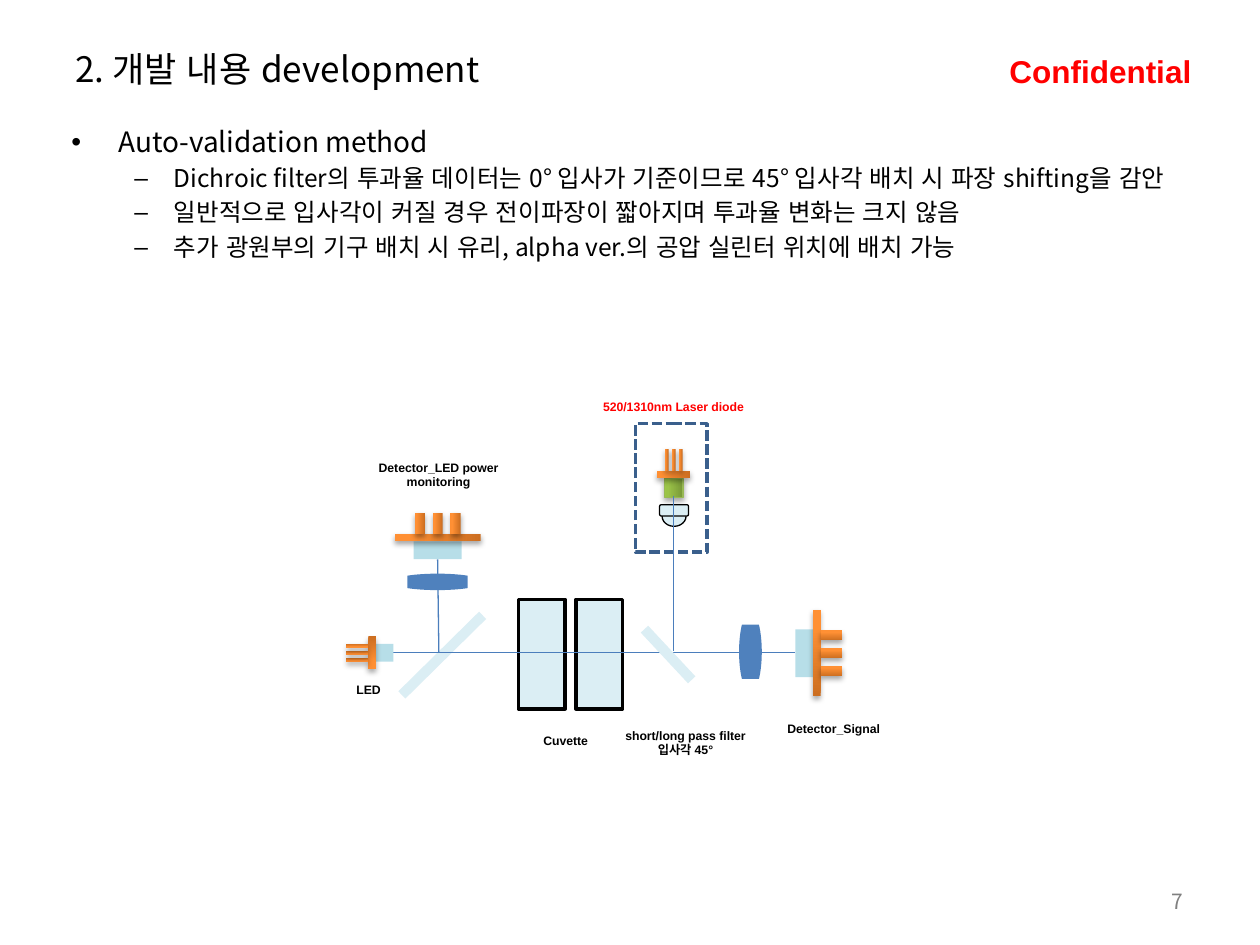
from math import cos, radians, sin

from lxml.etree import SubElement
from pptx import Presentation
from pptx.dml.color import RGBColor
from pptx.enum.dml import MSO_LINE
from pptx.enum.shapes import MSO_CONNECTOR, MSO_SHAPE
from pptx.enum.text import MSO_ANCHOR, PP_ALIGN
from pptx.oxml import parse_xml
from pptx.oxml.ns import nsdecls, qn
from pptx.util import Pt

COLORS = {
    "black": "000000", "white": "FFFFFF", "red": "FF0000", "gray": "808080",
    "glass": "DBEEF4", "window": "B7DEE8", "lens": "4F81BD",
    "beam": "4B7EBC", "housing": "3A5F8C", "diode_edge": "98B955",
}
GRADIENTS = {
    "orange": ("CC6E20", "FF9034", "FF9136"),
    "green": ("779737", "9BC348", "9DC746"),
}
SANS, KOREAN = "Arial", "Noto Sans CJK KR"


def rgb(name):
    """Return the palette colour called name."""
    return RGBColor.from_string(COLORS[name])


def apply(target, formats):
    """Set every attribute in formats on target."""
    for name, setting in formats.items():
        setattr(target, name, setting)


def write(paragraph, wording, size, font=KOREAN, color="black", bold=False):
    """Add one formatted run for each line of the wording."""
    for index, line in enumerate(wording.split("\n")):
        if index:
            paragraph.add_line_break()
        run = paragraph.add_run()
        run.text = line
        apply(run.font, {"size": Pt(size), "name": font, "bold": bold})
        run.font.color.rgb = rgb(color)
        SubElement(run.font._element, qn("a:ea"), typeface=SANS)


def add_text(shapes, box, wording, size, align=PP_ALIGN.LEFT,
             anchor=MSO_ANCHOR.TOP, wrap=True, **look):
    """Place a single-paragraph text box."""
    frame = shapes.add_textbox(*map(Pt, box)).text_frame
    apply(frame, {"word_wrap": wrap, "vertical_anchor": anchor})
    frame.paragraphs[0].alignment = align
    write(frame.paragraphs[0], wording, size, **look)


def add_bullets(slide, box, entries):
    """Place the bulleted body text given as (level, wording) pairs."""
    levels = (("•", 27, 27, 16), ("–", 58.5, 22.5, 14))
    frame = slide.shapes.add_textbox(*map(Pt, box)).text_frame
    frame.word_wrap = True
    for index, (level, wording) in enumerate(entries):
        mark, margin, hang, size = levels[level]
        paragraph = frame.add_paragraph() if index else frame.paragraphs[0]
        properties = paragraph._p.get_or_add_pPr()
        properties.set("marL", str(Pt(margin)))
        properties.set("indent", str(-Pt(hang)))
        SubElement(properties, qn("a:buFont"), typeface=SANS)
        SubElement(properties, qn("a:buChar"), char=mark)
        apply(paragraph, {"level": level,
                          "space_before": Pt(0.2 * size if index else 0)})
        write(paragraph, wording, size)


def add_part(shapes, center, size, angle=0, fill=None, edge=None, width=0.75,
             kind=MSO_SHAPE.RECTANGLE):
    """Place a shape by its centre, with a flat, gradient or empty fill."""
    (x, y), (w, h) = center, size
    part = shapes.add_shape(kind, Pt(x - w / 2), Pt(y - h / 2), Pt(w), Pt(h))
    part.rotation = angle
    part.shadow.inherit = False
    if fill in GRADIENTS:
        shade(part, GRADIENTS[fill])
    elif fill:
        part.fill.solid()
        part.fill.fore_color.rgb = rgb(fill)
    else:
        part.fill.background()
    if edge:
        part.line.color.rgb = rgb(edge)
        part.line.width = Pt(width)
    else:
        part.line.fill.background()
    return part


def shade(part, stops):
    """Give a part a three-stop gradient and a soft drop shadow."""
    part.fill.gradient()
    part.fill.gradient_angle = 90
    marks = "".join(f'<a:gs pos="{position}"><a:srgbClr val="{color}"/></a:gs>'
                    for position, color in zip((0, 80000, 100000), stops))
    properties = part._element.spPr
    old = properties.find(".//" + qn("a:gsLst"))
    old.getparent().replace(
        old, parse_xml(f'<a:gsLst {nsdecls("a")}>{marks}</a:gsLst>'))
    properties.find(qn("a:effectLst")).append(parse_xml(
        f'<a:outerShdw {nsdecls("a")} blurRad="{Pt(3.1)}" dist="{Pt(1.8)}" '
        'dir="5400000" rotWithShape="0"><a:srgbClr val="000000">'
        '<a:alpha val="35000"/></a:srgbClr></a:outerShdw>'))


def add_beam(shapes, start, end):
    """Draw one thin light path."""
    beam = shapes.add_connector(MSO_CONNECTOR.STRAIGHT, *map(Pt, start + end))
    beam.line.color.rgb = rgb("beam")
    beam.line.width = Pt(0.75)
    SubElement(beam._element.spPr, qn("a:effectLst"))


def along(center, distance, angle, across=0):
    """Return the point at a distance along and across a turned axis."""
    c, s = cos(radians(angle)), sin(radians(angle))
    return (center[0] + distance * c - across * s,
            center[1] + distance * s + across * c)


def add_package(shapes, plate, angle, window, plate_height, pin, pitch,
                fill="window", edge=None):
    """Build a window, base plate and three pins around the plate centre."""
    thickness = 4.3
    front = -(thickness + window[0]) / 2
    back = (thickness + pin[0]) / 2
    add_part(shapes, along(plate, front, angle), window, angle, fill, edge)
    add_part(shapes, plate, (thickness, plate_height), angle, "orange")
    for row in (-1, 0, 1):
        add_part(shapes, along(plate, back, angle, row * pitch), pin, angle, "orange")


def add_lens(shapes, center, size, visible, angle=0):
    """Draw an ellipse whose two tips are cut off by white caps."""
    cap = (13, 10)
    add_part(shapes, center, size, angle, "lens", kind=MSO_SHAPE.OVAL)
    for side in (-1, 1):
        middle = along(center, 0, angle, side * (visible + cap[1]) / 2)
        add_part(shapes, middle, cap, angle, "white")


def add_optics(slide, left, top):
    """Draw the optical bench with its labels from a top left corner."""
    shapes = slide.shapes.add_group_shape().shapes

    def at(x, y):
        """Shift a point into the bench."""
        return left + x, top + y

    axis = 156.8
    for x in (162, 129.2):
        add_part(shapes, at(x, axis + 0.8), (62.6, 26.6), 90, "glass", "black", 2)
    add_part(shapes, at(72.3, axis + 1.4), (64.8, 5.8), 135.4, "glass")
    add_beam(shapes, at(44.2, axis), at(273.9, axis))
    add_beam(shapes, at(70.4, axis), at(69.7, 103.5))

    small = {"plate_height": 18.7, "pin": (12.5, 2.2), "pitch": 4}
    large = {"window": (10.1, 27.4), "plate_height": 49.2, "pin": (12.2, 5.8),
             "pitch": 10.2}
    add_package(shapes, at(32.2, axis), 180, (10.1, 10.1), **small)
    add_package(shapes, at(69.7, 91), 270, **large)
    add_package(shapes, at(286.4, axis + 0.3), 0, **large)
    add_lens(shapes, at(248.4, 156.3), (13, 46.8), 31)
    add_lens(shapes, at(69.6, 116.3), (9.4, 52.6), 34.4, 270)

    add_package(shapes, at(204.6, 55), 270, (10.8, 10.8), **small,
                fill="green", edge="diode_edge")
    for y, size, kind in ((78.8, (11.5, 13.7), MSO_SHAPE.OVAL),
                          (75.4, (6.5, 16.6), MSO_SHAPE.ROUNDED_RECTANGLE)):
        add_part(shapes, at(204.8, y), size, 270, "glass", "black", kind=kind)
    housing = add_part(shapes, at(203.2, 62.6), (41, 73.4), 180, None, "housing", 2)
    housing.line.dash_style = MSO_LINE.SQUARE_DOT
    add_part(shapes, at(201.4, axis + 1), (5.8, 39.6), 317, "glass")
    add_beam(shapes, at(204.4, 67), at(204.4, 156))

    labels = (
        ("LED", 1.4, 170.2, 57.6, 15.8, "black"),
        ("Detector_LED power monitoring", 20.2, 43, 100, 24.5, "black"),
        ("Detector_Signal", 259.6, 192.4, 72.7, 15.8, "black"),
        ("Cuvette", 116.2, 199.2, 53.3, 15.8, "black"),
        ("520/1310nm Laser diode", 151.9, 8.4, 105.1, 15.8, "red"),
        ("short/long pass filter\n입사각 45°", 168.5, 196.2, 85.7, 24.5, "black"),
    )
    for wording, x, y, width, height, color in labels:
        add_text(shapes, at(x, y) + (width, height), wording, 7, PP_ALIGN.CENTER,
                 wrap="\n" not in wording, font=SANS, color=color, bold=True)


def main():
    """Build and save the slide."""
    deck = Presentation()
    apply(deck, {"slide_width": Pt(720), "slide_height": Pt(540)})
    slide = deck.slides.add_slide(deck.slide_layouts[6])
    add_text(slide.shapes, (569.8, 26, 119.5, 29), "Confidential", 18, wrap=False,
             font=SANS, color="red", bold=True)
    add_text(slide.shapes, (36, 21.6, 648, 34.6), "2. 개발 내용 development", 20,
             anchor=MSO_ANCHOR.MIDDLE)
    add_bullets(slide, (33.8, 67.7, 648, 433.4), (
        (0, "Auto-validation method"),
        (1, "Dichroic filter의 투과율 데이터는 0° 입사가 기준이므로 45° 입사각 배치 시 파장 shifting을 감안"),
        (1, "일반적으로 입사각이 커질 경우 전이파장이 짧아지며 투과율 변화는 크지 않음"),
        (1, "추가 광원부의 기구 배치 시 유리, alpha ver.의 공압 실린터 위치에 배치 가능"),
    ))
    add_optics(slide, 180.4, 216.2)
    add_text(slide.shapes, (515.2, 503.6, 168, 23), "7", 12, PP_ALIGN.RIGHT,
             MSO_ANCHOR.MIDDLE, color="gray")
    deck.save("out.pptx")


if __name__ == "__main__":
    main()
